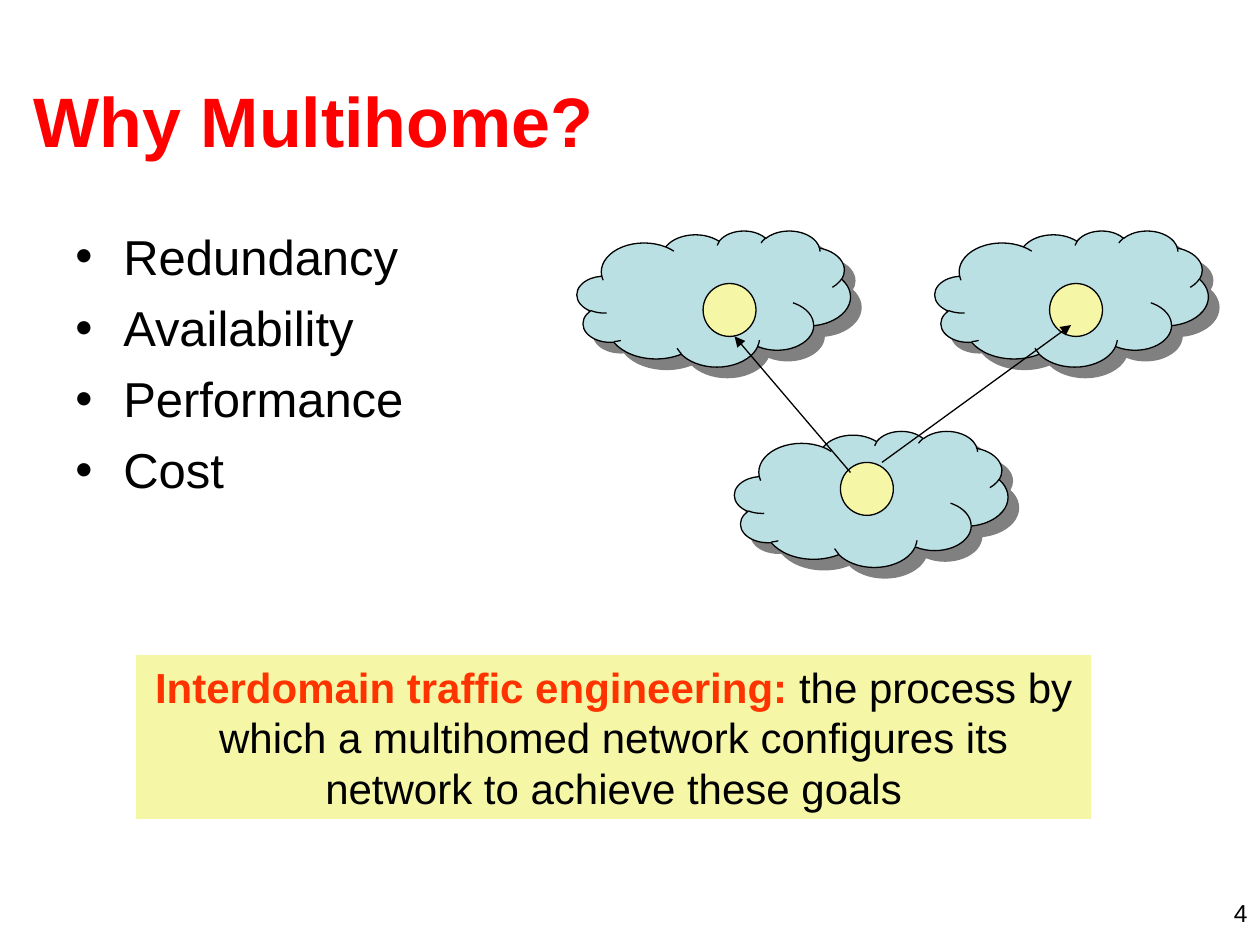
from dataclasses import dataclass

from lxml.etree import SubElement
from pptx import Presentation
from pptx.dml.color import RGBColor as Rgb
from pptx.enum.shapes import MSO_CONNECTOR as Link, MSO_SHAPE as Kind
from pptx.enum.text import MSO_ANCHOR as Anchor, PP_ALIGN as Align
from pptx.oxml.ns import qn
from pptx.util import Inches, Pt


@dataclass(frozen=True)
class Theme:
    font: str = "Arial"
    black: str = "000000"
    red: str = "FF0000"
    orange: str = "FF3300"
    yellow: str = "F5F7A7"
    cloud: str = "BBE0E3"
    shade: str = "808080"
    title: int = 40
    body: int = 28
    note: int = 24
    small: int = 14
    line: float = 0.75


@dataclass(frozen=True)
class Box:
    x: float
    y: float
    w: float
    h: float

    def place(self) -> tuple:
        return tuple(Inches(v) for v in (self.x, self.y, self.w, self.h))


@dataclass(frozen=True)
class Site:
    cloud: Box
    node: Box


@dataclass(frozen=True)
class Arrow:
    start: tuple[float, float]
    end: tuple[float, float]


LOOK = Theme()
NODE = 0.42


def site(x: float, y: float, nx: float, ny: float) -> Site:
    return Site(Box(x, y, 2.17, 1.08), Box(nx, ny, NODE, NODE))


SITES = [
    site(5.83, 3.42, 6.67, 3.67),
    site(4.58, 1.83, 5.58, 2.25),
    site(7.42, 1.83, 8.33, 2.25),
]
ARROWS = [Arrow((6.75, 3.75), (5.83, 2.67)), Arrow((7, 3.67), (8.5, 2.58))]
GOALS = ["Redundancy", "Availability", "Performance", "Cost"]


def write(para, text: str, size: int, color: str, bold: bool = False) -> None:
    run = para.add_run()
    run.text = text
    form = {"name": LOOK.font, "size": Pt(size), "bold": bold}
    for key, value in form.items():
        setattr(run.font, key, value)
    run.font.color.rgb = Rgb.from_string(color)


def add_text(slide, box: Box, **form):
    frame = slide.shapes.add_textbox(*box.place()).text_frame
    for key, value in {"word_wrap": True, **form}.items():
        setattr(frame, key, value)
    return frame


def add_shape(slide, kind: Kind, box: Box, fill: str, edge: bool = True):
    shape = slide.shapes.add_shape(kind, *box.place())
    shape.shadow.inherit = False
    shape.fill.solid()
    shape.fill.fore_color.rgb = Rgb.from_string(fill)
    if edge:
        shape.line.color.rgb = Rgb.from_string(LOOK.black)
        shape.line.width = Pt(LOOK.line)
    else:
        shape.line.fill.background()
    return shape


def add_cloud(slide, box: Box) -> None:
    shape = add_shape(slide, Kind.CLOUD, box, LOOK.cloud)
    effects = shape._element.spPr.find(qn("a:effectLst"))
    shadow = SubElement(effects, qn("a:outerShdw"), dist=str(Pt(8.5)),
                        dir=str(45 * 60000), algn="ctr", rotWithShape="0")
    SubElement(shadow, qn("a:srgbClr"), val=LOOK.shade)


def add_arrow(slide, arrow: Arrow) -> None:
    ends = [Inches(v) for v in (*arrow.start, *arrow.end)]
    link = slide.shapes.add_connector(Link.STRAIGHT, *ends)
    link.line.color.rgb = Rgb.from_string(LOOK.black)
    link.line.width = Pt(LOOK.line)
    SubElement(link.line._get_or_add_ln(), qn("a:tailEnd"), type="triangle")
    SubElement(link._element.spPr, qn("a:effectLst"))


def add_list(slide, box: Box, items: list[str]) -> None:
    frame = add_text(slide, box)
    for i, item in enumerate(items):
        para = frame.add_paragraph() if i else frame.paragraphs[0]
        props = para._p.get_or_add_pPr()
        props.set("marL", str(Inches(0.38)))
        props.set("indent", str(Inches(-0.38)))
        SubElement(props, qn("a:buFont"), typeface=LOOK.font)
        SubElement(props, qn("a:buChar"), char="•")
        para.space_before = Pt(7 if i else 0)
        write(para, item, LOOK.body, LOOK.black)


def main() -> None:
    deck = Presentation()
    deck.slide_width, deck.slide_height = Inches(10), Inches(7.5)
    slide = deck.slides.add_slide(deck.slide_layouts[6])

    # Title and goals
    title = add_text(slide, Box(0.17, 0.32, 9.58, 1.25),
                     vertical_anchor=Anchor.MIDDLE)
    write(title.paragraphs[0], "Why Multihome?", LOOK.title, LOOK.red, True)
    add_list(slide, Box(0.5, 1.75, 3.75, 2.5), GOALS)

    # Definition
    note = add_shape(slide, Kind.RECTANGLE, Box(1.08, 5.2, 7.58, 1.3),
                     LOOK.yellow, edge=False).text_frame
    note.word_wrap, note.vertical_anchor = True, Anchor.TOP
    para = note.paragraphs[0]
    para.alignment = Align.CENTER
    write(para, "Interdomain traffic engineering:", LOOK.note, LOOK.orange, True)
    write(para, " the process by which a multihomed network configures its "
          "network to achieve these goals", LOOK.note, LOOK.black)

    # Networks and their links
    for net in SITES:
        add_cloud(slide, net.cloud)
    for net in SITES:
        add_shape(slide, Kind.OVAL, net.node, LOOK.yellow)
    for arrow in ARROWS:
        add_arrow(slide, arrow)

    # Page number
    page = add_text(slide, Box(7.67, 7.08, 2.33, 0.25)).paragraphs[0]
    page.alignment = Align.RIGHT
    write(page, "4", LOOK.small, LOOK.black)

    deck.save("out.pptx")


if __name__ == "__main__":
    main()
